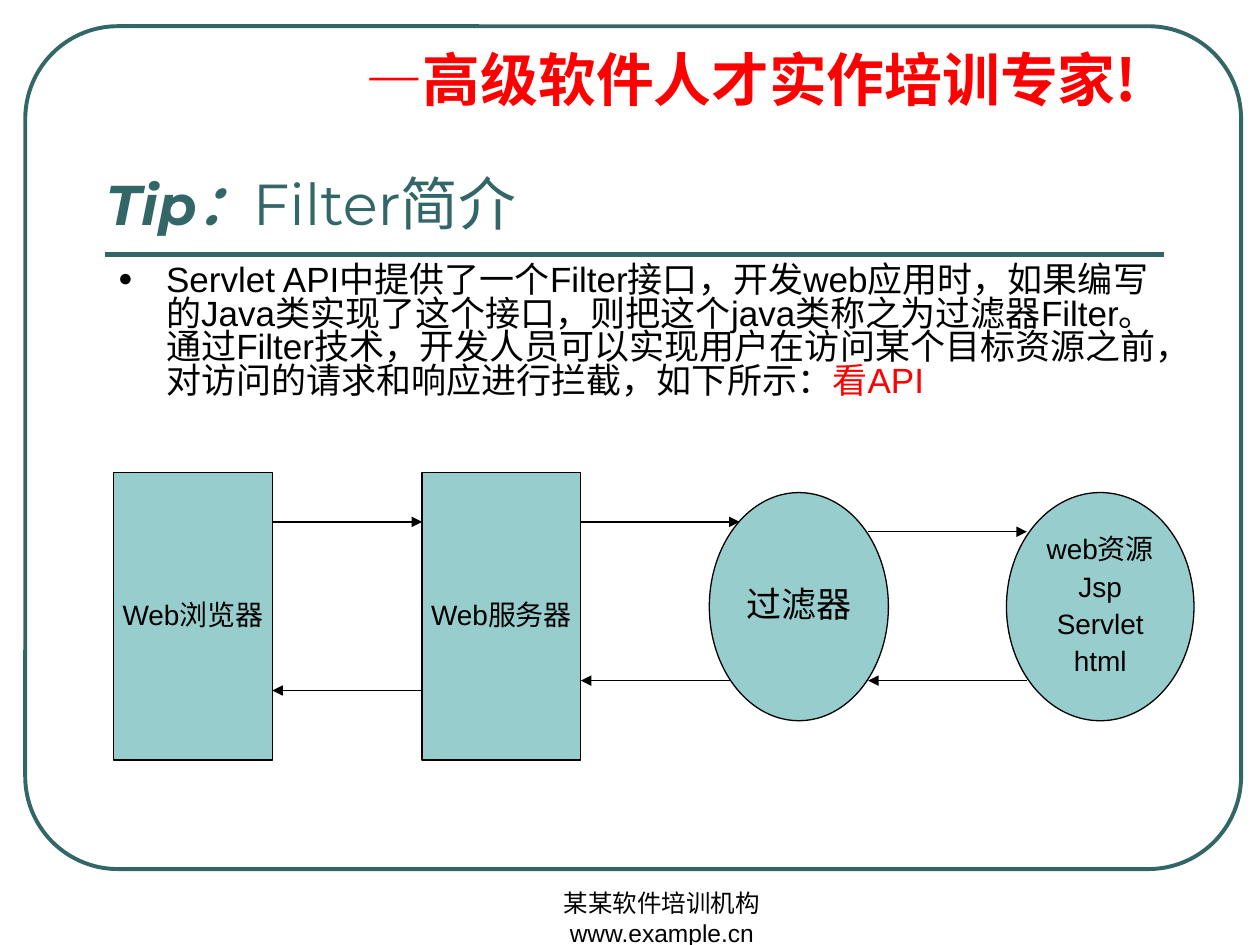
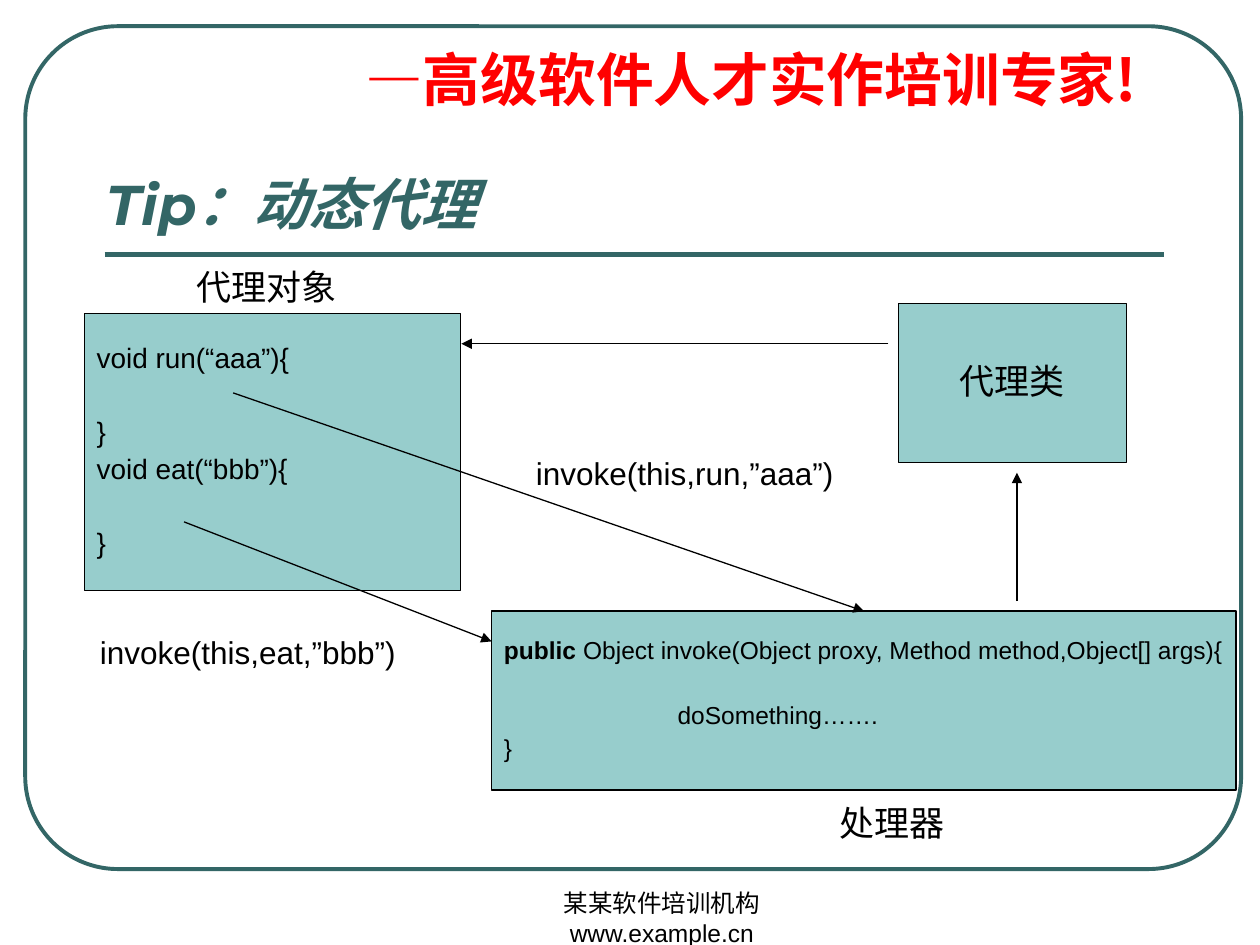
"""Build two slides on servlet filters and dynamic proxies."""
from lxml import etree
from pptx import Presentation
from pptx.dml import color
from pptx.enum import shapes, text
from pptx.oxml import ns
from pptx.util import Cm, Pt

rgb = color.RGBColor.from_string
GREEN, TEAL, RED, BLACK = "336666", "97CDCC", "FF0000", "000000"
CJK = "Noto Sans CJK SC"
RECT, OVAL = shapes.MSO_SHAPE.RECTANGLE, shapes.MSO_SHAPE.OVAL
ROUND = shapes.MSO_SHAPE.ROUNDED_RECTANGLE
CENTER, LEFT = text.PP_ALIGN.CENTER, text.PP_ALIGN.LEFT
MIDDLE, BOTTOM = text.MSO_ANCHOR.MIDDLE, text.MSO_ANCHOR.BOTTOM
TITLE = {"name": "Montserrat", "size": Pt(32), "bold": True, "italic": True, "color": GREEN}
SLOGAN = {"name": "Montserrat", "size": Pt(33), "bold": True, "color": RED}
HANGING = {"marL": Cm(0.97), "indent": -Cm(0.97)}


def box(s, kind, at, paras, size=16, fill=TEAL, line=BLACK, width=0.75, **frame):
    """Add a preset shape, or a text box if kind is None, with formatted paragraphs."""
    at = [Cm(v) for v in at]
    if kind is None:
        sp = s.shapes.add_textbox(*at)
    else:
        sp = s.shapes.add_shape(kind, *at)
        sp.shadow.inherit = False
        sp.line.color.rgb, sp.line.width = rgb(line), Pt(width)
        if fill:
            sp.fill.solid()
            sp.fill.fore_color.rgb = rgb(fill)
        else:
            sp.fill.background()
    tf = sp.text_frame
    for key, value in ({"word_wrap": kind is None} | frame).items():
        setattr(tf, key, value)
    for i, (layout, runs) in enumerate(paras):
        p = tf.add_paragraph() if i else tf.paragraphs[0]
        for key, value in ({"alignment": LEFT} | layout).items():
            if key in HANGING:
                p._p.get_or_add_pPr().set(key, str(value))
            else:
                setattr(p, key, value)
        for words, font in runs:
            r = p.add_run()
            r.text = words
            for key, value in ({"name": "Arial", "size": Pt(size), "color": BLACK} | font).items():
                if key == "color":
                    r.font.color.rgb = rgb(value)
                else:
                    setattr(r.font, key, value)
            latin = r._r.rPr.find(ns.qn("a:latin"))
            ea = etree.Element(ns.qn("a:ea"), typeface=CJK)
            latin.addnext(ea)
    return sp


def connect(s, x1, y1, x2, y2, line=BLACK, width=0.75, arrow=True):
    """Add a straight line with an optional arrowhead at its end."""
    c = s.shapes.add_connector(shapes.MSO_CONNECTOR.STRAIGHT, Cm(x1), Cm(y1), Cm(x2), Cm(y2))
    c.line.color.rgb, c.line.width = rgb(line), Pt(width)
    if arrow:
        etree.SubElement(c.line._get_or_add_ln(), ns.qn("a:tailEnd"), type="triangle")
    etree.SubElement(c._element.spPr, ns.qn("a:effectLst"))
    return c


prs = Presentation()
prs.slide_width, prs.slide_height = Cm(25.4), Cm(19.05)

titles = [
    [("Tip：", TITLE), ("Filter简介", TITLE | {"size": Pt(33), "bold": False, "italic": False})],
    [("Tip：动态代理", TITLE)],
]
for title in titles:
    s = prs.slides.add_slide(prs.slide_layouts[6])
    frame = box(s, ROUND, (0.51, 0.53, 24.51, 16.99), [], fill=None, line=GREEN, width=2.25)
    frame.adjustments[0] = 0.11
    connect(s, 2.11, 5.13, 23.47, 5.13, GREEN, 3, arrow=False)
    box(s, None, (7.11, 0.91, 16, 2.77),
        [(HANGING | {"line_spacing": 0.9, "space_before": Pt(8.2)},
          [("—", SLOGAN), ("高级软件人才实作培训专家!", SLOGAN | {"name": CJK})])])
    box(s, None, (9.32, 17.78, 8.05, 1.27),
        [({"alignment": CENTER}, [("某某软件培训机构 www.example.cn", {})])], size=14)
    box(s, None, (1.9, 0.91, 21.39, 3.99), [({}, title)], vertical_anchor=BOTTOM)

filters, proxies = prs.slides

intro = ("Servlet API中提供了一个Filter接口，开发web应用时，如果编写的Java类实现了这个接口，"
         "则把这个java类称之为过滤器Filter。通过Filter技术，开发人员可以实现用户在访问某个目标"
         "资源之前，对访问的请求和响应进行拦截，如下所示：")
sp = box(filters, None, (2.13, 5.23, 21.56, 3.89),
         [(HANGING | {"line_spacing": 0.8, "space_before": Pt(5)},
           [(intro, {}), ("看API", {"color": RED})])], size=20)
pPr = sp.text_frame.paragraphs[0]._p.pPr
for tag, attrs in [("buSzPct", {"val": "70000"}), ("buFont", {"typeface": "Arial"}),
                   ("buChar", {"char": "●"})]:
    etree.SubElement(pPr, ns.qn("a:" + tag), attrs)

nodes = [
    (filters, RECT, (2.29, 9.53, 3.2, 5.79), 16, ["Web浏览器"]),
    (filters, RECT, (8.51, 9.53, 3.2, 5.79), 16, ["Web服务器"]),
    (filters, OVAL, (20.29, 9.93, 3.78, 4.6), 16, ["web资源", "Jsp", "Servlet", "html"]),
    (filters, OVAL, (14.3, 9.93, 3.61, 4.6), 20, ["过滤器"]),
    (proxies, RECT, (18.11, 6.12, 4.6, 3.2), 20, ["代理类"]),
]
for s, kind, at, size, lines in nodes:
    layout = {"alignment": CENTER, "line_spacing": 0.9, "space_before": Pt(size / 4)}
    box(s, kind, at, [(layout, [(words, {})]) for words in lines], size, vertical_anchor=MIDDLE)

for ends in [(11.71, 10.52, 14.91, 10.52), (17.5, 10.72, 20.7, 10.72),
             (20.7, 13.72, 17.5, 13.72), (14.71, 13.72, 11.71, 13.72),
             (5.49, 10.52, 8.51, 10.52), (8.51, 13.92, 5.49, 13.92)]:
    connect(filters, *ends)

code = {"line_spacing": 0.9}
handler = box(proxies, RECT, (9.91, 12.32, 15.01, 3.61), [
    (code | {"space_before": Pt(3.5)},
     [("public", {"bold": True}),
      (" Object invoke(Object proxy, Method method,Object[] args){", {})]),
    (code | {"space_before": Pt(22), "marL": Cm(3.5), "indent": 0}, [("doSomething…….", {})]),
    (code | {"space_before": Pt(3.5)}, [("}", {})]),
], size=14, vertical_anchor=MIDDLE)
box(proxies, RECT, (1.7, 6.32, 7.59, 5.59),
    [(code | {"space_before": Pt(gap)}, [(words, {})])
     for words, gap in [("void run(“aaa”){", 4), ("}", 25), ("void eat(“bbb”){", 4), ("}", 25)]],
    vertical_anchor=MIDDLE)

for ends in [(20.5, 12.12, 20.5, 9.53), (17.91, 6.93, 9.3, 6.93), (3.71, 10.52, 9.91, 12.93)]:
    connect(proxies, *ends)
connect(proxies, 4.7, 7.92, 17.42, 12.32).end_connect(handler, 0)

for words, at, size in [("invoke(this,run,”aaa”)", (10.11, 9.12, 7.39, 0.94), 18),
                        ("invoke(this,eat,”bbb”)", (1.3, 12.73, 7.39, 0.94), 18),
                        ("处理器", (15.29, 16.13, 5.38, 1.02), 20),
                        ("代理对象", (2.69, 5.33, 5.38, 1.02), 20)]:
    layout = {"alignment": CENTER, "line_spacing": 0.9, "space_before": Pt(size * 0.62)}
    box(proxies, None, at, [(layout, [(words, {})])], size)

prs.save("out.pptx")
